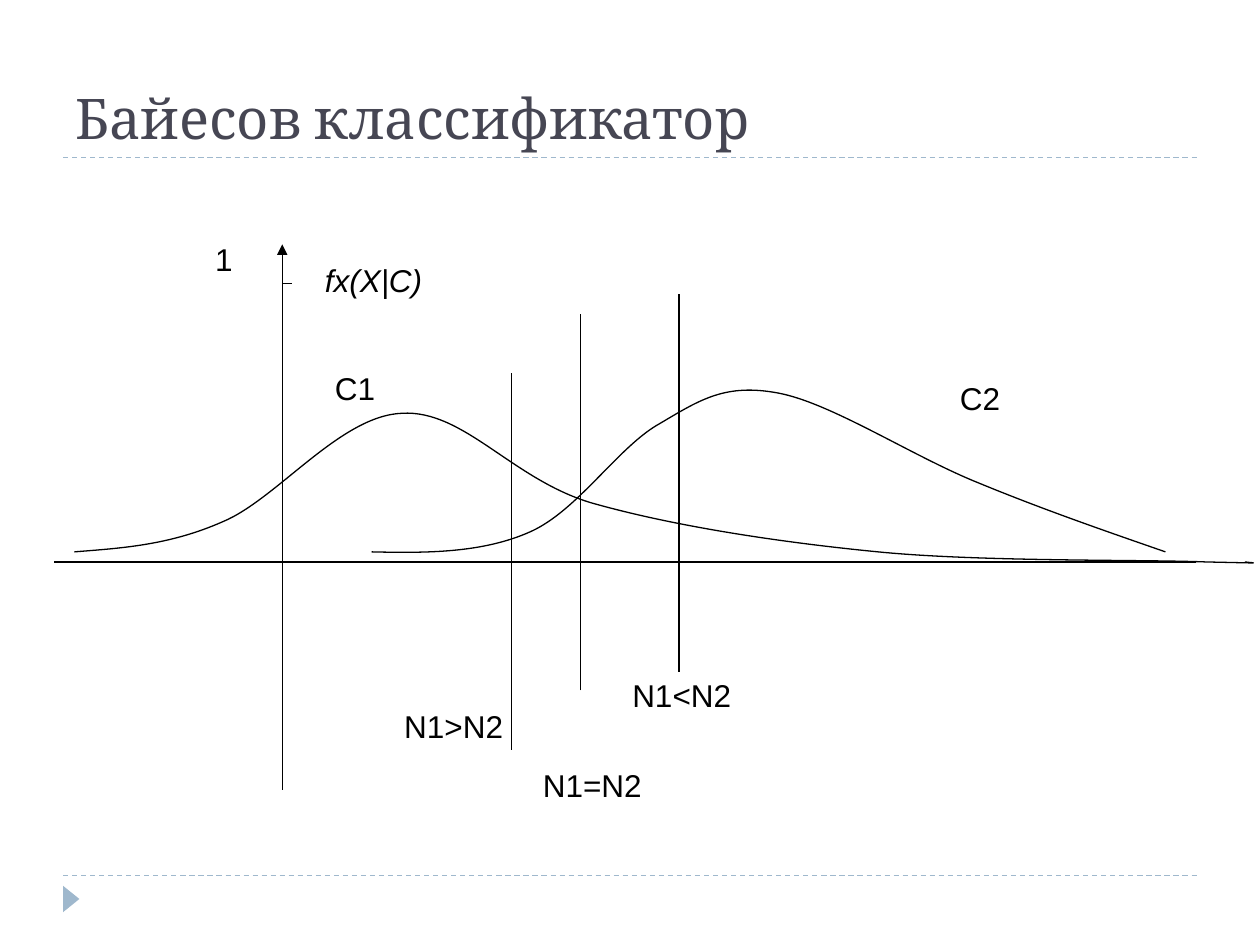
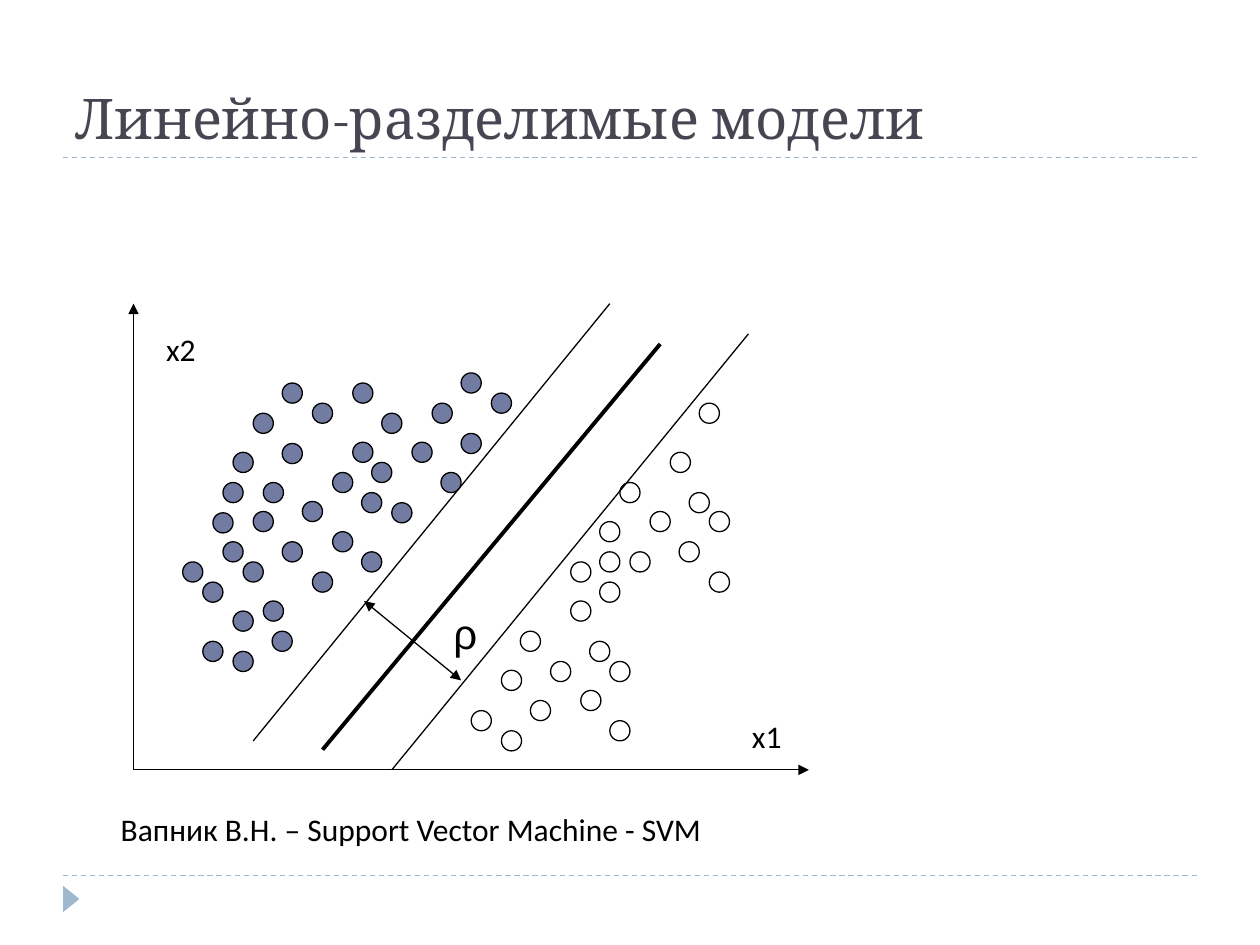
from dataclasses import dataclass

from lxml import etree
from pptx import Presentation
from pptx import util as u
from pptx.dml import color
from pptx.enum import dml, shapes, text
from pptx.oxml import ns

HUES = {"ink": "000000", "title": "464653", "rule": "9FB8CD", "dot": "727CA3"}
DOT = 0.16  # dot diameter


@dataclass
class Label:
    words: str
    x: float
    y: float
    wide: float
    high: float = 0.4
    face: str = "Arial"
    size: int = 18
    slant: bool = False
    lead: float = 1.0


@dataclass
class Line:
    x1: float
    y1: float
    x2: float
    y2: float
    width: float = 0.75
    hue: str = "ink"
    dash: bool = False
    head: bool = False
    tail: bool = False


# Shared look
RULES = [Line(0.5, y, 9.5, y, hue="rule", dash=True) for y in (6.95, 1.25)]

# Density slide: axes, class borders and curves
AXES = [
    Line(2.24, 6.27, 2.24, 1.94, tail=True),
    Line(0.43, 4.46, 9.49, 4.46),
]
BORDERS = [
    Line(4.61, 5.48, 4.61, 2.49),
    Line(5.39, 5.33, 5.39, 2.33),
    Line(4.06, 5.95, 4.06, 2.96),
    Line(2.24, 2.25, 2.32, 2.25),
]
# Each curve: start point, then control, control, end for every segment
CURVES = [
    [(0.59, 4.38), (0.96, 4.35), (1.34, 4.33), (1.77, 4.14),
     (2.2, 3.96), (2.7, 3.3), (3.19, 3.28), (3.68, 3.25), (4.06, 3.8), (4.69, 3.99),
     (5.32, 4.17), (6.15, 4.3), (6.97, 4.38), (7.78, 4.46), (9.08, 4.44), (9.57, 4.46),
     (10.05, 4.47), (9.97, 4.47), (9.88, 4.46)],
    [(2.95, 4.38), (3.39, 4.39), (3.83, 4.39), (4.21, 4.22),
     (4.59, 4.05), (4.91, 3.54), (5.24, 3.36), (5.56, 3.17), (5.76, 3.04), (6.18, 3.12),
     (6.6, 3.2), (7.24, 3.62), (7.76, 3.83), (8.27, 4.04), (8.76, 4.21), (9.25, 4.38)],
]
NOTES = [
    Label("fx(X|C)", 2.48, 2.02, 1.18, slant=True),
    Label("C1", 2.56, 2.88, 0.79),
    Label("C2", 7.52, 2.96, 1.1),
    Label("N1=N2", 4.21, 6.03, 1.5),
    Label("N1<N2", 4.92, 5.32, 1.5),
    Label("N1>N2", 3.11, 5.56, 1.5),
    Label("1", 1.61, 1.86, 0.31),
]

# Margin slide: column x -> tops of the dots in that column
FULL = {
    1.45: [4.46], 1.61: [4.62, 5.09], 1.69: [4.07], 1.77: [3.83, 4.3],
    1.85: [3.59, 4.85, 5.17], 1.93: [4.46], 2.01: [3.28, 4.06], 2.09: [3.83, 4.77],
    2.16: [5.01], 2.24: [3.04, 3.52, 4.3], 2.4: [3.98], 2.48: [3.2, 4.54],
    2.64: [3.75, 4.22], 2.8: [3.04, 3.51], 2.87: [3.91, 4.38], 2.95: [3.67],
    3.03: [3.28], 3.11: [3.99], 3.27: [3.51], 3.43: [3.2], 3.5: [3.75],
    3.66: [2.96, 3.44], 3.9: [3.12],
}
HOLLOW = {
    3.74: [5.64], 3.98: [5.32, 5.8], 4.13: [5.01], 4.21: [5.56], 4.37: [5.25],
    4.53: [4.46, 4.77], 4.61: [5.48], 4.68: [5.09], 4.76: [4.14, 4.38, 4.62],
    4.84: [5.25, 5.72], 4.92: [3.83], 5: [4.38], 5.16: [4.06], 5.32: [3.59],
    5.39: [4.3], 5.47: [3.91], 5.55: [3.2], 5.63: [4.06, 4.54],
}
MARGIN = [
    Line(1.06, 6.11, 1.06, 2.41, tail=True),
    Line(1.06, 6.11, 6.42, 6.11, tail=True),
    Line(2.56, 5.95, 5.24, 2.73, width=2.25),
    Line(2.01, 5.88, 4.84, 2.41),
    Line(3.11, 6.11, 5.94, 2.65),
    Line(2.89, 4.77, 3.66, 5.4, head=True, tail=True),
]
TAGS = [
    Label("ρ", 3.5, 4.77, 0.39, 0.5, size=24),
    Label("x2", 1.22, 2.57, 0.63, face="Calibri"),
    Label("x1", 5.87, 5.64, 0.94, face="Calibri"),
]
CREDIT = Label("Вапник В.Н. – Support Vector Machine - SVM", 0.86, 6.41, 6.48, 0.37,
               face="Calibri", lead=0.9)


def rgb(hue: str) -> color.RGBColor:
    return color.RGBColor.from_string(HUES[hue])


def apply(item, values: dict) -> None:
    for key, value in values.items():
        setattr(item, key, value)


def inches(*sizes: float) -> list[u.Length]:
    return [u.Inches(size) for size in sizes]


def fill(shape, hue: str | None) -> None:
    shape.shadow.inherit = False
    if hue:
        shape.fill.solid()
        shape.fill.fore_color.rgb = rgb(hue)
    else:
        shape.fill.background()


def stroke(shape, hue: str = "ink", width: float = 0.75) -> None:
    shape.line.width = u.Pt(width)
    shape.line.fill.solid()
    shape.line.color.rgb = rgb(hue)


def write(frame, words: str, face: str, size: int, hue: str, slant: bool = False):
    frame.text = words
    para = frame.paragraphs[0]
    para.alignment = text.PP_ALIGN.LEFT
    font = para.runs[0].font
    apply(font, {"name": face, "size": u.Pt(size), "italic": slant})
    font.color.rgb = rgb(hue)
    return para


def draw_line(host, line: Line) -> None:
    link = host.shapes.add_connector(
        shapes.MSO_CONNECTOR.STRAIGHT, *inches(line.x1, line.y1, line.x2, line.y2))
    stroke(link, line.hue, line.width)
    if line.dash:
        link.line.dash_style = dml.MSO_LINE.DASH
    props = link._element.spPr
    edge = props.find(ns.qn("a:ln"))
    for tag, shown in (("a:headEnd", line.head), ("a:tailEnd", line.tail)):
        if shown:
            etree.SubElement(edge, ns.qn(tag), type="triangle")
    etree.SubElement(props, ns.qn("a:effectLst"))


def draw_label(host, label: Label) -> None:
    box = host.shapes.add_textbox(*inches(label.x, label.y, label.wide, label.high))
    apply(box.text_frame, {"word_wrap": True,
                           "auto_size": text.MSO_AUTO_SIZE.SHAPE_TO_FIT_TEXT})
    para = write(box.text_frame, label.words, label.face, label.size, "ink", label.slant)
    para.line_spacing = label.lead


def draw_curve(host, knots: list[tuple[float, float]]) -> None:
    pen = host.shapes.build_freeform(*inches(*knots[0]))
    pen.add_line_segments([inches(*knot) for knot in knots[1:]], close=False)
    curve = pen.convert_to_shape()
    # Turn every three straight segments into one cubic segment
    legs = list(curve._element.iter(ns.qn("a:lnTo")))
    for i in range(0, len(legs), 3):
        bend = etree.Element(ns.qn("a:cubicBezTo"))
        legs[i].addprevious(bend)
        for leg in legs[i:i + 3]:
            bend.append(leg[0])
            leg.getparent().remove(leg)
    fill(curve, None)
    stroke(curve)


def draw_dots(host, columns: dict[float, list[float]], hue: str | None) -> None:
    for x, tops in columns.items():
        for y in tops:
            dot = host.shapes.add_shape(shapes.MSO_SHAPE.OVAL, *inches(x, y, DOT, DOT))
            fill(dot, hue)
            stroke(dot)


def add_slide(deck, words: str):
    slide = deck.slides.add_slide(deck.slide_layouts[5])
    # Title
    title = slide.shapes.title
    apply(title, {"left": u.Inches(0.5), "top": u.Inches(0.17),
                  "width": u.Inches(9), "height": u.Inches(1.08)})
    title.text_frame.vertical_anchor = text.MSO_ANCHOR.BOTTOM
    write(title.text_frame, words, "Cambria", 32, "title")
    # Dashed rules and footer marker
    for rule in RULES:
        draw_line(slide, rule)
    mark = slide.shapes.add_shape(
        shapes.MSO_SHAPE.ISOSCELES_TRIANGLE, *inches(0.46, 7.07, 0.21, 0.13))
    mark.rotation = 90
    fill(mark, "rule")
    mark.line.fill.background()
    return slide


def main() -> None:
    deck = Presentation()
    apply(deck, {"slide_width": u.Inches(10), "slide_height": u.Inches(7.5)})

    # Bayes classifier
    bayes = add_slide(deck, "Байесов классификатор")
    for line in AXES:
        draw_line(bayes, line)
    for knots in CURVES:
        draw_curve(bayes, knots)
    for label in NOTES:
        draw_label(bayes, label)
    for line in BORDERS:
        draw_line(bayes, line)

    # Linearly separable classes, grouped as one plot
    linear = add_slide(deck, "Линейно-разделимые модели")
    plot = linear.shapes.add_group_shape()
    draw_dots(plot, FULL, "dot")
    draw_dots(plot, HOLLOW, None)
    for line in MARGIN:
        draw_line(plot, line)
    for label in TAGS:
        draw_label(plot, label)
    draw_label(linear, CREDIT)

    deck.save("out.pptx")


if __name__ == "__main__":
    main()
